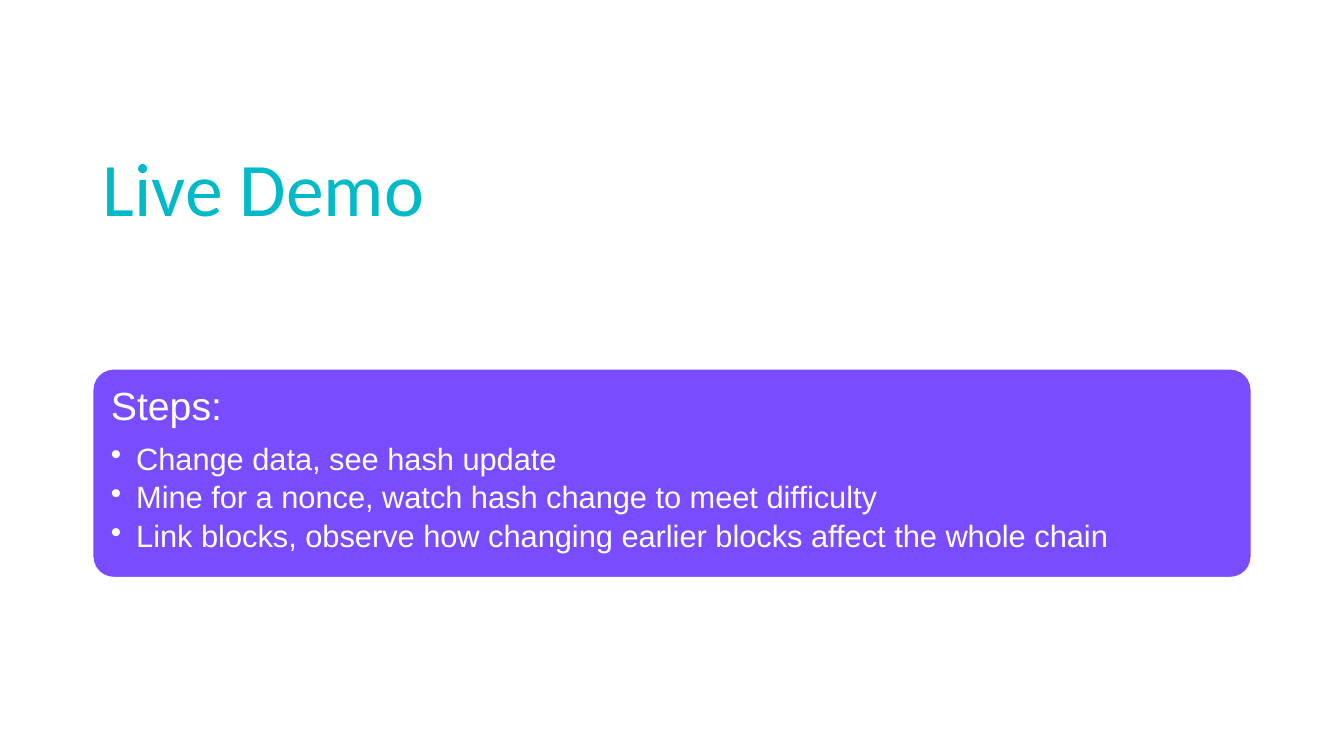
"""Build the Live Demo slide: a title above a rounded card of steps."""
import pptx
import pptx.dml.color
import pptx.enum.shapes
import pptx.enum.text
import pptx.oxml
import pptx.util
from pptx.oxml import ns

Inches, Pt = pptx.util.Inches, pptx.util.Pt
TEAL = pptx.dml.color.RGBColor(0x00, 0xBA, 0xC8)
VIOLET = pptx.dml.color.RGBColor(0x79, 0x4D, 0xFF)
WHITE = pptx.dml.color.RGBColor(0xFF, 0xFF, 0xFF)

TITLE = "Live Demo"
HEADING = "Steps:"
STEPS = [
    "Change data, see hash update",
    "Mine for a nonce, watch hash change to meet difficulty",
    "Link blocks, observe how changing earlier blocks affect the whole chain",
]

WIDTH, HEIGHT = 13.33, 7.5
MARGIN = 0.92
CONTENT_WIDTH = WIDTH - 2 * MARGIN
TITLE_TOP, TITLE_HEIGHT = 0.4, 1.96
CARD_TOP, CARD_HEIGHT = 3.66, 2.07
CARD_INSET = 0.12
BULLET_INDENT = Inches(0.25)


def style(paragraph, font_name, size, color):
    for run in paragraph.runs:
        run.font.name = font_name
        run.font.size = Pt(size)
        run.font.color.rgb = color


def add_bullet(paragraph):
    properties = paragraph._p.get_or_add_pPr()
    properties.set("marL", str(BULLET_INDENT))
    properties.set("indent", str(-BULLET_INDENT))
    bullet = pptx.oxml.parse_xml(f'<a:buChar {ns.nsdecls("a")} char="•"/>')
    properties.append(bullet)


def add_title(slide):
    title = slide.shapes.add_textbox(
        Inches(MARGIN), Inches(TITLE_TOP), Inches(CONTENT_WIDTH), Inches(TITLE_HEIGHT))
    frame = title.text_frame
    frame.word_wrap = True
    frame.vertical_anchor = pptx.enum.text.MSO_ANCHOR.BOTTOM
    frame.text = TITLE
    frame.paragraphs[0].line_spacing = 0.9
    style(frame.paragraphs[0], "Calibri", 54, TEAL)


def add_steps_card(slide):
    card = slide.shapes.add_shape(
        pptx.enum.shapes.MSO_SHAPE.ROUNDED_RECTANGLE,
        Inches(MARGIN), Inches(CARD_TOP), Inches(CONTENT_WIDTH), Inches(CARD_HEIGHT))
    card.adjustments[0] = 0.1
    card.shadow.inherit = False
    card.fill.solid()
    card.fill.fore_color.rgb = VIOLET
    card.line.color.rgb = WHITE
    card.line.width = Pt(1)

    frame = card.text_frame
    frame.word_wrap = True
    frame.vertical_anchor = pptx.enum.text.MSO_ANCHOR.TOP
    frame.margin_left = frame.margin_right = Inches(CARD_INSET)
    frame.margin_top = frame.margin_bottom = Inches(CARD_INSET)
    frame.text = "\n".join([HEADING, *STEPS])
    heading, *steps = frame.paragraphs
    for paragraph in frame.paragraphs:
        paragraph.alignment = pptx.enum.text.PP_ALIGN.LEFT
        paragraph.line_spacing = 0.9
    heading.space_after = Pt(10)
    style(heading, "Arial", 28, WHITE)
    for step in steps:
        step.space_after = Pt(4)
        add_bullet(step)
        style(step, "Arial", 22, WHITE)


def main():
    deck = pptx.Presentation()
    deck.slide_width, deck.slide_height = Inches(WIDTH), Inches(HEIGHT)
    slide = deck.slides.add_slide(deck.slide_layouts[6])
    add_title(slide)
    add_steps_card(slide)
    deck.save("out.pptx")


if __name__ == "__main__":
    main()
